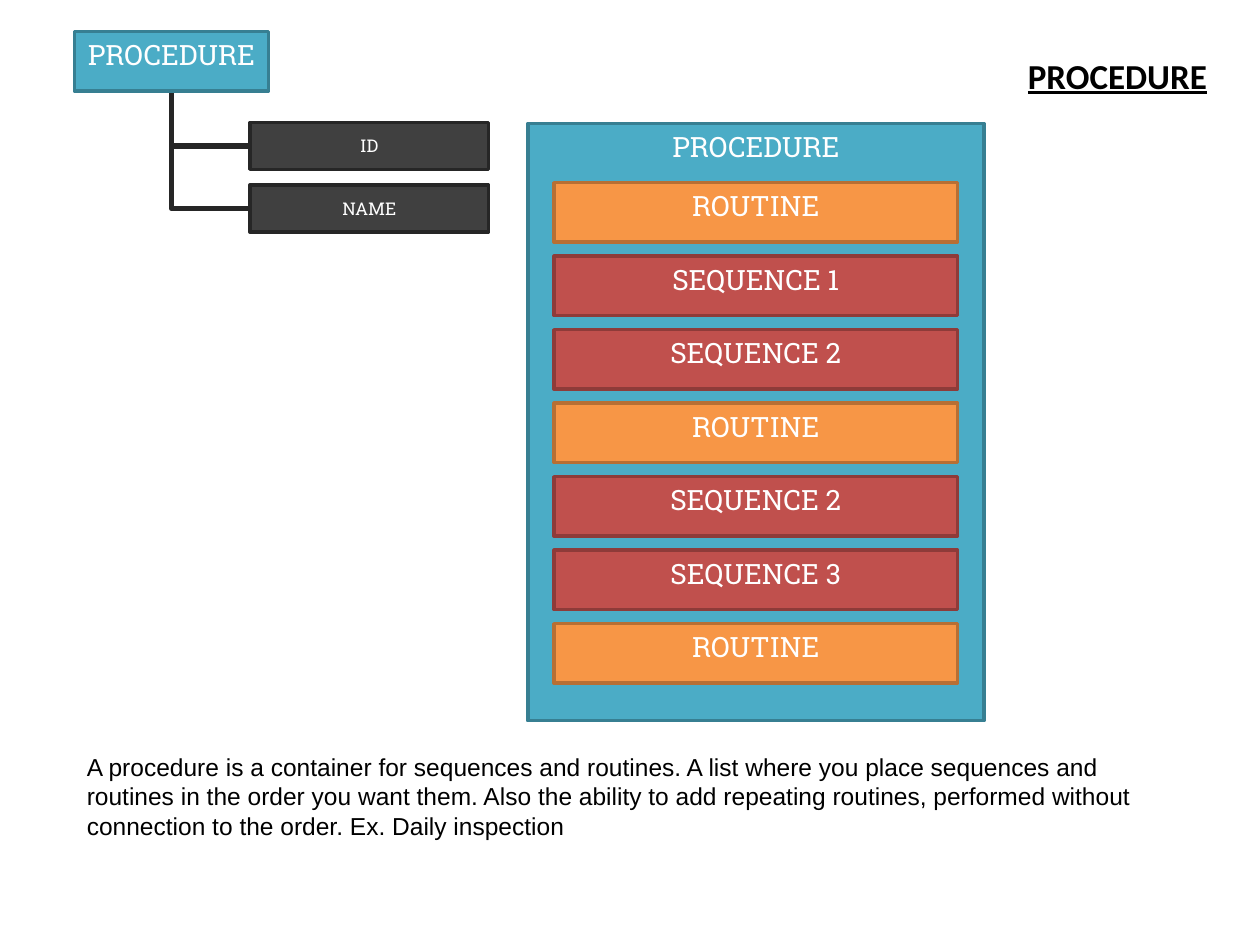
"""Build the slide that explains the procedure container."""
import pptx
import pptx.dml.color
import pptx.enum.shapes
import pptx.enum.text
import pptx.oxml.ns
import pptx.util
from lxml import etree

Pt = pptx.util.Pt
RGBColor = pptx.dml.color.RGBColor
Align = pptx.enum.text.PP_ALIGN
Anchor = pptx.enum.text.MSO_ANCHOR
qn = pptx.oxml.ns.qn

WHITE = RGBColor(0xFF, 0xFF, 0xFF)
BLACK = RGBColor(0, 0, 0)
BLUE = RGBColor(0x4B, 0xAC, 0xC6)
BLUE_EDGE = RGBColor(0x37, 0x7F, 0x92)
RED = RGBColor(0xC0, 0x50, 0x4D)
RED_EDGE = RGBColor(0x8E, 0x3B, 0x39)
ORANGE = RGBColor(0xF7, 0x96, 0x46)
ORANGE_EDGE = RGBColor(0xB7, 0x6F, 0x34)
GREY = RGBColor(0x40, 0x40, 0x40)
GREY_EDGE = RGBColor(0x26, 0x26, 0x26)

STEPS = ("ROUTINE", "SEQUENCE 1", "SEQUENCE 2", "ROUTINE",
         "SEQUENCE 2", "SEQUENCE 3", "ROUTINE")
DESCRIPTION = (
    "A procedure is a container for sequences and routines. A list where you "
    "place sequences and routines in the order you want them. Also the ability "
    "to add repeating routines, performed without connection to the order. "
    "Ex. Daily inspection")


def place(shape, left, top, width, height):
    """Set the position and size of a shape in points."""
    shape.left, shape.top = Pt(left), Pt(top)
    shape.width, shape.height = Pt(width), Pt(height)


def write(shape, text, size, font, color, align, anchor=Anchor.TOP):
    """Write one formatted paragraph and return its run."""
    frame = shape.text_frame
    frame.word_wrap = True
    frame.auto_size = pptx.enum.text.MSO_AUTO_SIZE.NONE
    frame.vertical_anchor = anchor
    para = frame.paragraphs[0]
    para.alignment = align
    span = para.add_run()
    span.text = text
    span.font.size = Pt(size)
    span.font.name = font
    span.font.color.rgb = color
    return span


def add_block(page, text, area, fill, edge, size=16, anchor=Anchor.TOP):
    """Add a filled, outlined rectangle with a centred label."""
    box = page.shapes.add_shape(
        pptx.enum.shapes.MSO_SHAPE.RECTANGLE, *map(Pt, area))
    box.shadow.inherit = False
    box.fill.solid()
    box.fill.fore_color.rgb = fill
    box.line.color.rgb = edge
    box.line.width = Pt(2)
    write(box, text, size, "Roboto Slab", WHITE, Align.CENTER, anchor)


def add_branch(page, left, top, right, bottom):
    """Add an elbow that runs down and then right."""
    run, drop = right - left, bottom - top
    branch = page.shapes.add_connector(
        pptx.enum.shapes.MSO_CONNECTOR.ELBOW, 0, 0, 0, 0)
    place(branch, (left + right - drop) / 2, (top + bottom - run) / 2, drop, run)
    properties = branch._element.spPr
    properties.find(qn("a:prstGeom")).set("prst", "bentConnector2")
    transform = properties.find(qn("a:xfrm"))
    transform.set("rot", "16200000")
    transform.set("flipH", "1")
    branch.line.color.rgb = GREY_EDGE
    branch.line.width = Pt(3)
    etree.SubElement(properties, qn("a:effectLst"))


def add_title(page, text):
    """Format the title placeholder as an underlined heading."""
    title = page.shapes.title
    place(title, 456.5, 27.4, 240.5, 31.5)
    span = write(title, text, 20, "Calibri", BLACK, Align.RIGHT)
    span.font.bold = True
    span.font.underline = True


def add_description(page, text):
    """Add the explanatory paragraph."""
    box = page.shapes.add_textbox(Pt(42.5), Pt(426.2), Pt(635), Pt(58.3))
    write(box, text, 14, "Arial", BLACK, Align.LEFT)


def add_fields(page):
    """Add the procedure with its branches to its fields."""
    for index, name in enumerate(("ID", "NAME")):
        top = 70 + 35.75 * index
        add_branch(page, 98, 52, 143, top + 13.4)
        add_block(page, name, (142.8, top, 136.4, 26.8), GREY, GREY_EDGE,
                  10, Anchor.MIDDLE)
    add_block(page, "PROCEDURE", (42.5, 18, 111, 34), BLUE, BLUE_EDGE)


def add_container(page):
    """Add the procedure container with its evenly stacked steps."""
    add_block(page, "PROCEDURE", (301.6, 70.6, 260.8, 341.2), BLUE, BLUE_EDGE)
    for index, step in enumerate(STEPS):
        colors = (ORANGE, ORANGE_EDGE) if step == "ROUTINE" else (RED, RED_EDGE)
        add_block(page, step, (316.6, 104.4 + 42 * index, 230.6, 34), *colors)


def main():
    """Build and save the deck."""
    deck = pptx.Presentation()
    deck.slide_width, deck.slide_height = Pt(720), Pt(540)
    page = deck.slides.add_slide(deck.slide_layouts.get_by_name("Title Only"))
    add_title(page, "PROCEDURE")
    add_fields(page)
    add_container(page)
    add_description(page, DESCRIPTION)
    deck.save("out.pptx")


main()
